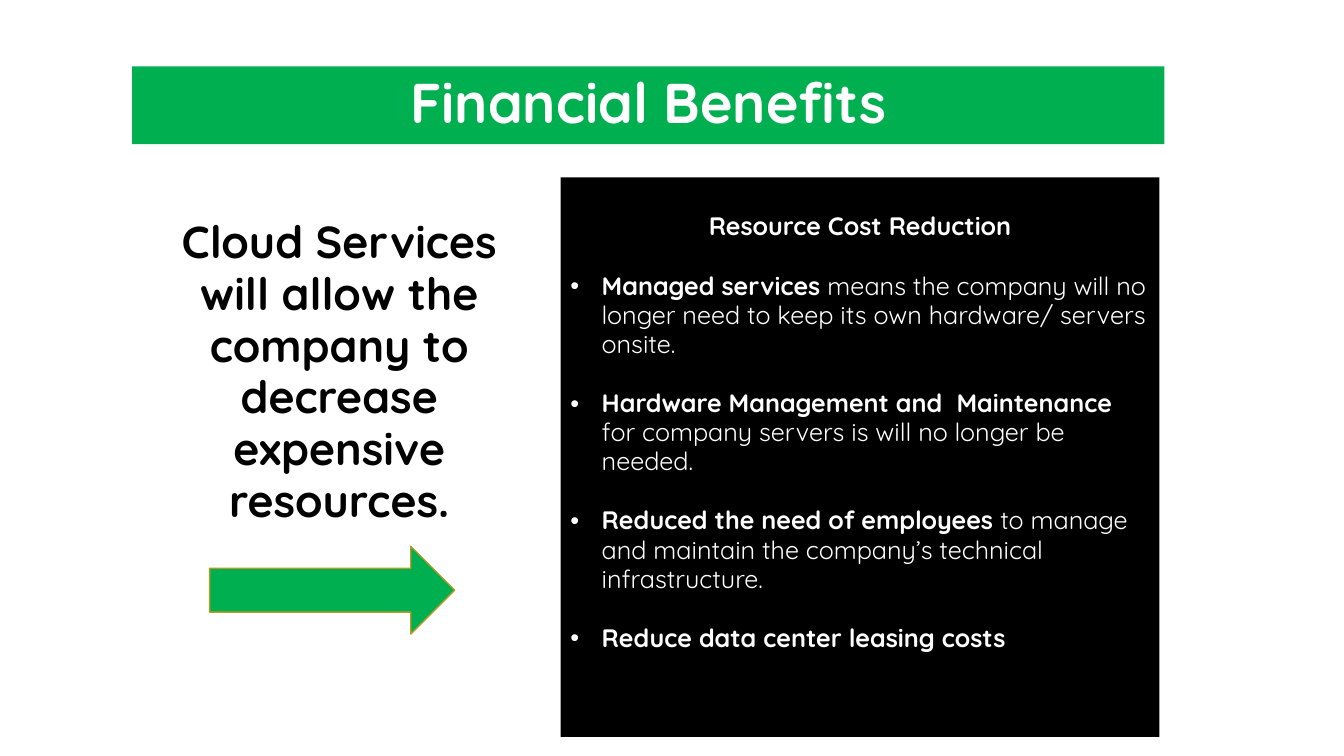
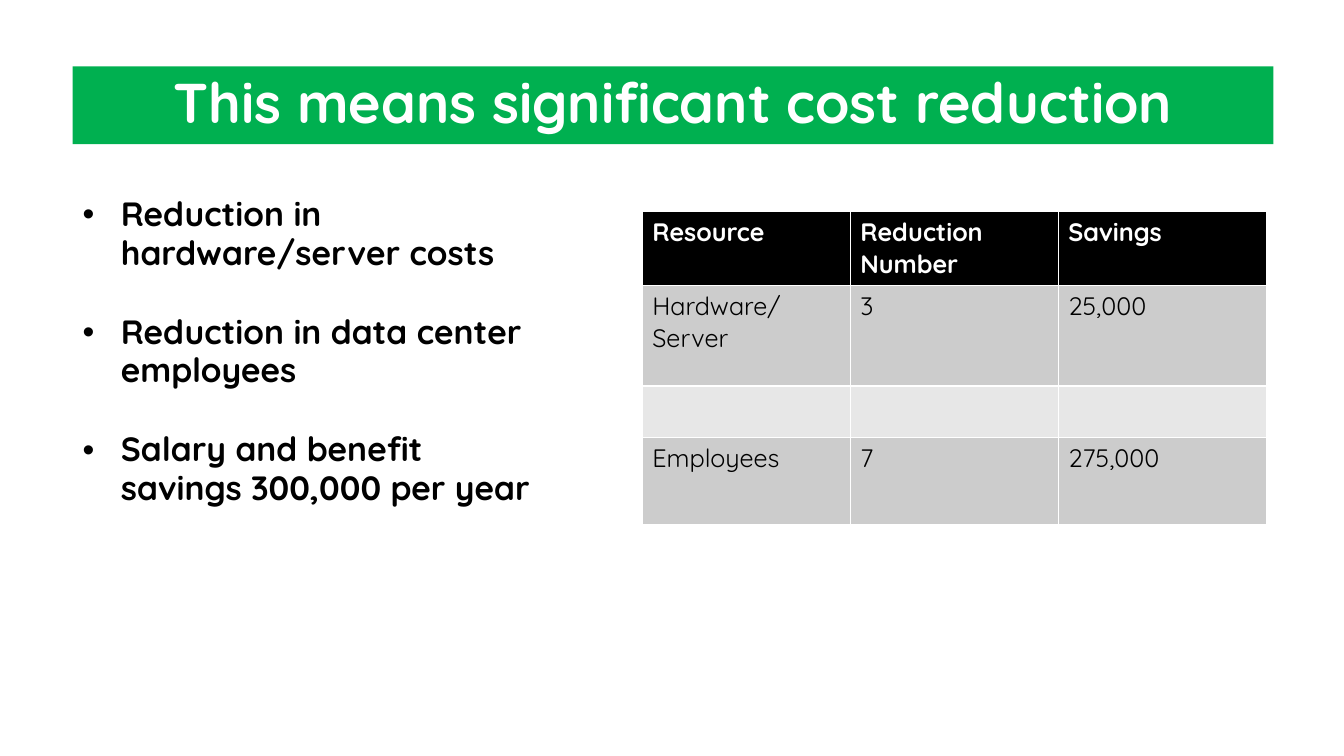
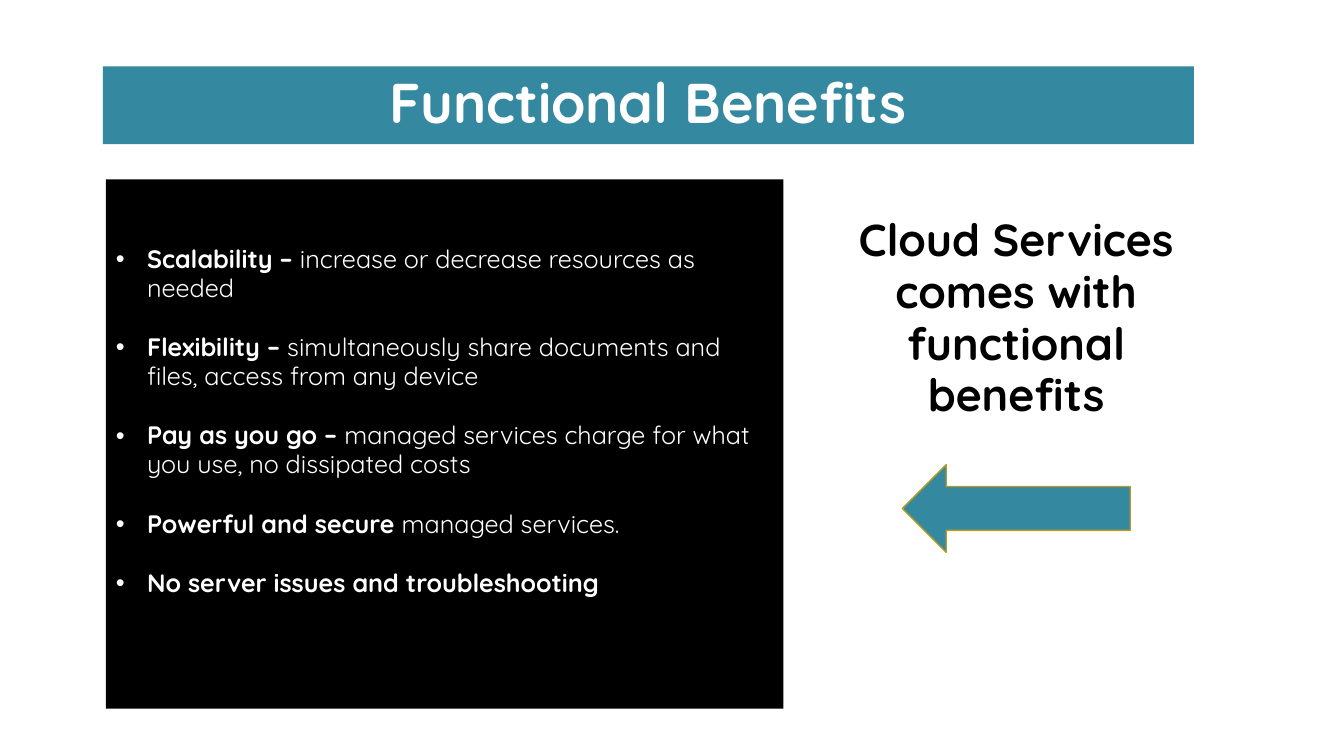
"""Build three slides on the benefits of cloud services."""
from pptx import Presentation
from pptx.dml.color import RGBColor
from pptx.enum.shapes import MSO_SHAPE
from pptx.enum.text import MSO_ANCHOR, PP_ALIGN
from pptx.oxml import parse_xml
from pptx.oxml.ns import nsdecls
from pptx.util import Inches, Pt

FONT = "Quicksand"
GREEN, TEAL, GOLD = "00B050", "3488A0", "B79B23"
BLACK, WHITE, GREY, PALE = "000000", "FFFFFF", "CCCCCC", "E7E7E7"
LINE = 1.2

TITLE = {"size": 40, "tint": WHITE, "align": PP_ALIGN.CENTER}
CLAIM = {"size": 32, "tint": BLACK, "align": PP_ALIGN.CENTER}
PANEL = {"size": 18, "tint": WHITE, "indent": 0.31}
POINTS = {"size": 24, "tint": BLACK, "indent": 0.38}

SLIDES = [
    {
        "title": ("Financial Benefits", 1.31, 10.24, GREEN),
        "panel": (5.56, 1.76, 5.94, 5.55),
        "inset": 0.35,
        "head": "Resource Cost Reduction",
        "items": [
            ("Managed services ", "means the company will no longer need to keep its own hardware/ servers onsite."),
            ("Hardware Management and  Maintenance ", "for company servers is will no longer be needed."),
            ("Reduced the need of employees ", "to manage and maintain the company’s technical infrastructure."),
            ("Reduce data center leasing costs", ""),
        ],
        "claim": ("Cloud Services will allow the company to decrease expensive resources.", (1.42, 2.11, 3.89, 4.41)),
        "arrow": (MSO_SHAPE.RIGHT_ARROW, (2.08, 5.42, 2.43, 0.87)),
    },
    {
        "title": ("This means significant cost reduction", 0.72, 11.91, GREEN),
        "points": (0.72, 1.89, 4.75, 4.41),
        "items": [
            ("Reduction in hardware/server costs", ""),
            ("Reduction in data center employees", ""),
            ("Salary and benefit savings 300,000 per year", ""),
        ],
        "table": (6.37, 2.1, 6.19, 3.1),
        "rows": [
            (0.73, BLACK, ("Resource", "Reduction Number", "Savings")),
            (1, GREY, ("Hardware/\nServer", "3", "25,000")),
            (0.51, PALE, ("", "", "")),
            (0.86, GREY, ("Employees", "7", "275,000")),
        ],
    },
    {
        "title": ("Functional Benefits", 1.02, 10.82, TEAL),
        "panel": (1.05, 1.78, 6.72, 5.25),
        "inset": 0.65,
        "items": [
            ("Scalability – ", "increase or decrease resources as needed"),
            ("Flexibility – ", "simultaneously share documents and files, access from any device"),
            ("Pay as you go – ", "managed services charge for what you use, no dissipated costs"),
            ("Powerful and secure ", "managed services."),
            ("No server issues and troubleshooting", ""),
        ],
        "claim": ("Cloud Services comes with functional benefits", (8.36, 2.09, 3.44, 3.87)),
        "arrow": (MSO_SHAPE.LEFT_ARROW, (8.95, 4.61, 2.26, 0.87)),
    },
]


def color(code):
    """Turn a hex string into a colour."""
    return RGBColor.from_string(code)


def style(target, values):
    """Set each named value on the target."""
    for name, value in values.items():
        setattr(target, name, value)


def paint(font, size, tint, bold):
    """Give a font its face, size, weight and colour."""
    style(font, {"name": FONT, "size": Pt(size), "bold": bold})
    font.color.rgb = color(tint)


def draw(slide, kind, place, fill, edge=None):
    """Add a flat filled shape."""
    shape = slide.shapes.add_shape(kind, *map(Inches, place))
    shape.shadow.inherit = False
    shape.fill.solid()
    shape.fill.fore_color.rgb = color(fill)
    if edge:
        shape.line.color.rgb = color(edge)
        shape.line.width = Pt(1)
    else:
        shape.line.fill.background()
    return shape


def bullet(para, indent):
    """Give a paragraph a hanging bullet."""
    props = para._p.get_or_add_pPr()
    props.set("marL", str(Inches(indent)))
    props.set("indent", str(-Inches(indent)))
    props.append(parse_xml(f'<a:buFont {nsdecls("a")} typeface="Arial"/>'))
    props.append(parse_xml(f'<a:buChar {nsdecls("a")} char="•"/>'))


def write(shape, items, look, head="", inset=0.05):
    """Fill a shape with an optional heading and spaced paragraphs."""
    frame = shape.text_frame
    style(frame, {"word_wrap": True, "vertical_anchor": MSO_ANCHOR.TOP, "margin_top": Inches(inset)})
    lines = [(head, "")] * bool(head) + items
    for num, parts in enumerate(lines):
        para = frame.add_paragraph() if num else frame.paragraphs[0]
        gap = look["size"] * LINE if num else 0
        align = PP_ALIGN.CENTER if head and not num else look.get("align", PP_ALIGN.LEFT)
        style(para, {"alignment": align, "line_spacing": 0.96, "space_before": Pt(gap)})
        if "indent" in look and parts in items:
            bullet(para, look["indent"])
        for text, bold in zip(parts, (True, False)):
            if text:
                run = para.add_run()
                run.text = text
                paint(run.font, look["size"], look["tint"], bold)


def grid(slide, place, rows):
    """Add the table of savings."""
    wide = len(rows[0][2])
    table = slide.shapes.add_table(len(rows), wide, *map(Inches, place)).table
    for col in table.columns:
        col.width = Inches(place[2] / wide)
    for num, (high, fill, texts) in enumerate(rows):
        table.rows[num].height = Inches(high)
        for cell, text in zip(table.rows[num].cells, texts):
            cell.text = text
            cell.fill.solid()
            cell.fill.fore_color.rgb = color(fill)
            for para in cell.text_frame.paragraphs:
                paint(para.font, 18, BLACK if num else WHITE, not num)
                for run in para.runs:
                    paint(run.font, 18, BLACK if num else WHITE, not num)


def build(deck, data):
    """Add one slide from its data."""
    slide = deck.slides.add_slide(deck.slide_layouts[6])
    rect = MSO_SHAPE.RECTANGLE
    title, left, width, tone = data["title"]
    write(draw(slide, rect, (left, 0.66, width, 0.77), tone), [(title, "")], TITLE)
    if "panel" in data:
        panel = draw(slide, rect, data["panel"], BLACK)
        write(panel, data["items"], PANEL, data.get("head", ""), data["inset"])
        claim, place = data["claim"]
        write(draw(slide, rect, place, WHITE), [(claim, "")], CLAIM)
        kind, place = data["arrow"]
        draw(slide, kind, place, tone, GOLD)
    else:
        write(draw(slide, rect, data["points"], WHITE), data["items"], POINTS)
        grid(slide, data["table"], data["rows"])


def main():
    """Build and save the deck."""
    deck = Presentation()
    style(deck, {"slide_width": Inches(13.33), "slide_height": Inches(7.5)})
    for data in SLIDES:
        build(deck, data)
    deck.save("out.pptx")


if __name__ == "__main__":
    main()
